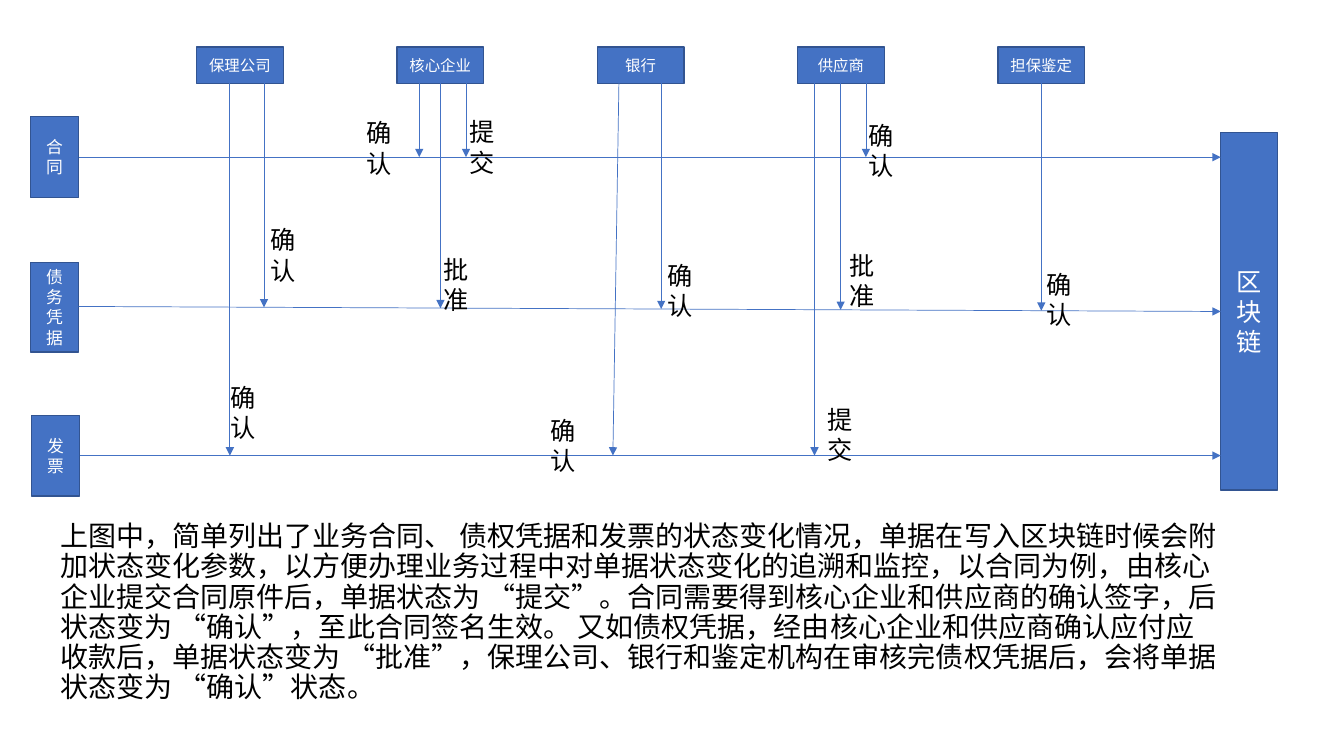
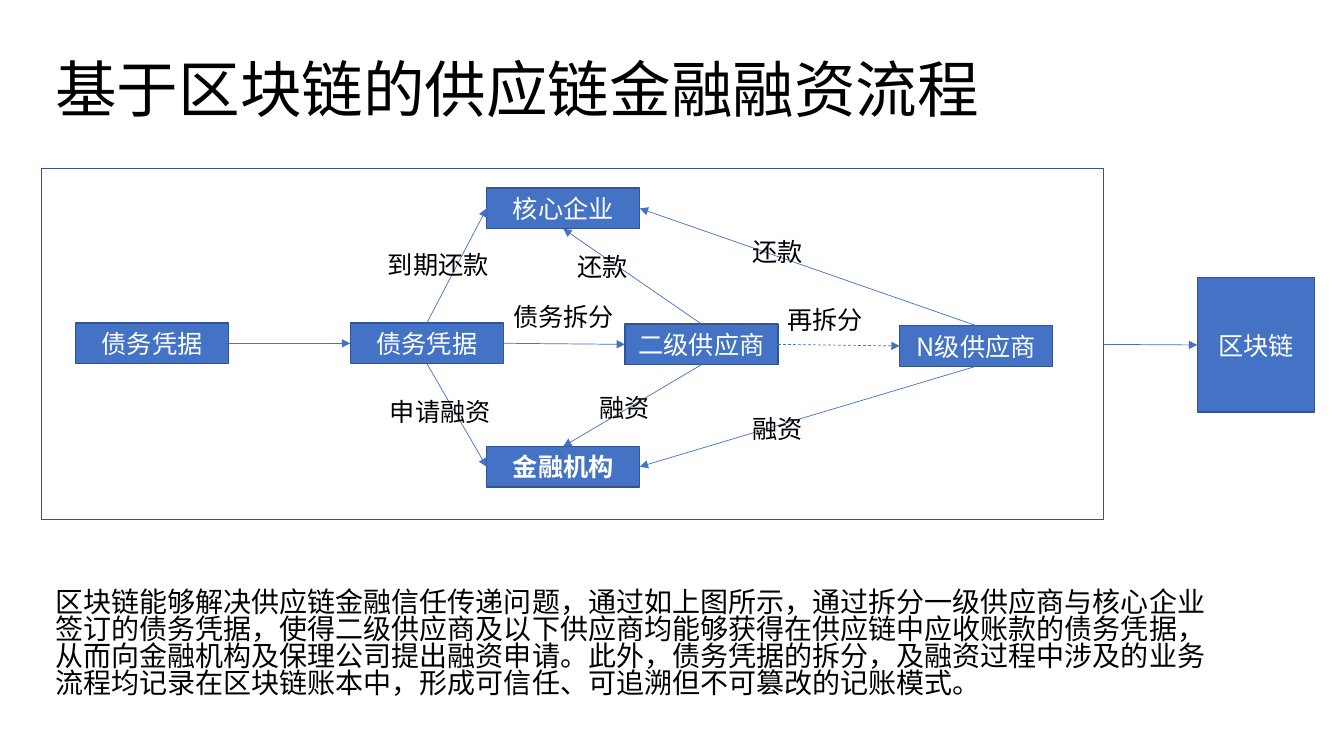
"""Build two slides on supply-chain finance recorded on a blockchain."""
from lxml.etree import SubElement
from pptx import Presentation
from pptx.dml.color import RGBColor
from pptx.enum.dml import MSO_LINE
from pptx.enum.shapes import MSO_CONNECTOR, MSO_SHAPE
from pptx.enum.text import MSO_ANCHOR, PP_ALIGN
from pptx.oxml.ns import qn
from pptx.util import Pt

COLORS = {"fill": "4472C4", "border": "325491", "light": "FFFFFF", "dark": "000000"}
FONT = "Noto Sans CJK SC"
LINE_FACTOR = 1.2

PARTIES = ["保理公司", "核心企业", "银行", "供应商", "担保鉴定"]
DOCUMENTS = [
    ("合同", 21.6, 83.4, 57.6, 112.3, 112.3),
    ("债务凭据", 21.6, 187.3, 64.2, 218.9, 222.5),
    ("发票", 22.3, 296.8, 57.6, 325.4, 325.4),
]
DOCUMENT_WIDTH = 34.6
LEDGER = ("区块链", 872, 94.5, 40.4, 255.6)
STATUS_ARROWS = [
    (164.2, 164.2, 2), (188.6, 188.6, 1),
    (299.5, 299.5, 0), (314.6, 314.6, 1), (332.9, 332.9, 0),
    (442.1, 437.8, 2), (472.3, 472.3, 1),
    (581.8, 581.8, 2), (600.5, 600.5, 1), (618.5, 618.5, 0),
    (743.8, 743.8, 1),
]
STATUS_LABELS = [
    ("批准", 599.8, 175), ("批准", 309.6, 177.8), ("提交", 328.3, 79.9),
    ("确认", 740.2, 188.6), ("确认", 613.4, 82.1), ("确认", 385.9, 293),
    ("确认", 254.9, 80.6), ("确认", 469.4, 182.2), ("确认", 185.8, 157),
    ("提交", 583.9, 285.1), ("确认", 157.7, 269.3),
]
STATUS_TEXT = (
    "上图中，简单列出了业务合同、 债权凭据和发票的状态变化情况，单据在写入区块链时候会附加状态变化参数，"
    "以方便办理业务过程中对单据状态变化的追溯和监控，以合同为例，由核心企业提交合同原件后，"
    "单据状态为 “提交”。合同需要得到核心企业和供应商的确认签字，后状态变为 “确认”，"
    "至此合同签名生效。 又如债权凭据，经由核心企业和供应商确认应付应收款后，单据状态变为 “批准”，"
    "保理公司、银行和鉴定机构在审核完债权凭据后，会将单据状态变为 “确认”状态。"
)

FINANCING_TITLE = "基于区块链的供应链金融融资流程"
NODE_SIZE = (109.4, 29)
NODES = {
    "core": ("核心企业", 347.6, 134.4),
    "debt": ("债务凭据", 250.2, 230.7),
    "second": ("二级供应商", 446.4, 231.5),
    "last": ("N级供应商", 642.6, 232.6),
    "finance": ("金融机构", 347.6, 318.9),
    "source": ("债务凭据", 54, 230.7),
}
FLOWS = [
    ("source", "right", "debt", "left"), ("debt", "top", "core", "left"),
    ("second", "top", "core", "bottom"), ("last", "top", "core", "right"),
    ("debt", "bottom", "finance", "left"), ("second", "bottom", "finance", "top"),
    ("last", "bottom", "finance", "right"), ("debt", "right", "second", "left"),
    ("second", "right", "last", "left"),
]
DASHED_FLOW = ("second", "right", "last", "left")
FLOW_LABELS = [
    ("申请融资", 271.4, 279.4), ("融资", 421.2, 276.8), ("融资", 530.6, 291.9),
    ("债务拆分", 359.5, 212), ("再拆分", 555.2, 213.9), ("到期还款", 270, 174.7),
    ("还款", 405.4, 175.7), ("还款", 530.6, 165.3),
]
FRAME = (29.5, 120.2, 758.9, 250.9)
FINANCING_LEDGER = ("区块链", 855.2, 198.4, 83.8, 96)
FINANCING_TEXT = (
    "区块链能够解决供应链金融信任传递问题，通过如上图所示，通过拆分一级供应商与核心企业签订的债务凭据，"
    "使得二级供应商及以下供应商均能够获得在供应链中应收账款的债务凭据， "
    "从而向金融机构及保理公司提出融资申请。此外，债务凭据的拆分，及融资过程中涉及的业务流程"
    "均记录在区块链账本中，形成可信任、可追溯但不可篡改的记账模式。"
)


def set_values(target, values):
    """Set each named attribute on the target."""
    for name, value in values.items():
        setattr(target, name, value)


def color(name):
    """Return a named colour."""
    return RGBColor.from_string(COLORS[name])


def write(shape, text, size, ink, spacing=None, align=PP_ALIGN.LEFT,
          anchor=MSO_ANCHOR.TOP, wrap=True, bold=False):
    """Fill a shape with one formatted paragraph."""
    set_values(shape.text_frame, {"word_wrap": wrap, "vertical_anchor": anchor})
    paragraph = shape.text_frame.paragraphs[0]
    set_values(paragraph, {"alignment": align,
                           "line_spacing": spacing or Pt(size * LINE_FACTOR)})
    run = paragraph.add_run()
    run.text = text
    set_values(run.font, {"name": FONT, "size": Pt(size), "bold": bold})
    run.font.color.rgb = color(ink)
    SubElement(run.font._element, qn("a:ea")).set("typeface", FONT)


def add_box(slide, bounds, text="", size=18, bold=False):
    """Add a filled box with text, or an open frame without text."""
    shape = slide.shapes.add_shape(MSO_SHAPE.RECTANGLE, *map(Pt, bounds))
    shape.shadow.inherit = False
    shape.line.color.rgb = color("border")
    shape.line.width = Pt(1)
    if not text:
        shape.fill.background()
        return
    shape.fill.solid()
    shape.fill.fore_color.rgb = color("fill")
    write(shape, text, size, "light", align=PP_ALIGN.CENTER,
          anchor=MSO_ANCHOR.MIDDLE, bold=bold)


def add_text(slide, bounds, text, size=18, **options):
    """Add dark text in a plain text box."""
    write(slide.shapes.add_textbox(*map(Pt, bounds)), text, size, "dark", **options)


def add_arrow(slide, start, end, dashed=False):
    """Add a thin arrow between two points."""
    connector = slide.shapes.add_connector(
        MSO_CONNECTOR.STRAIGHT, *map(Pt, (*start, *end)))
    connector.line.color.rgb = color("fill")
    connector.line.width = Pt(0.5)
    if dashed:
        connector.line.dash_style = MSO_LINE.DASH
    properties = connector._element.spPr
    SubElement(properties.find(qn("a:ln")), qn("a:tailEnd")).set("type", "triangle")
    SubElement(properties, qn("a:effectLst"))


def port(key, side):
    """Return the middle of one side of a node."""
    _, left, top = NODES[key]
    width, height = NODE_SIZE
    across, down = {"left": (0, 0.5), "right": (1, 0.5),
                    "top": (0.5, 0), "bottom": (0.5, 1)}[side]
    return left + across * width, top + down * height


def build_status_slide(slide):
    """Draw the parties, the documents and their status changes."""
    for index, party in enumerate(PARTIES):
        add_box(slide, (140.4 + 143.1 * index, 33.6, 62, 26), party, 11)
    ledger, *ledger_bounds = LEDGER
    ledger_left = ledger_bounds[0]
    add_box(slide, ledger_bounds, ledger)
    for document, left, top, height, start, end in DOCUMENTS:
        add_box(slide, (left, top, DOCUMENT_WIDTH, height), document, 12)
        add_arrow(slide, (left + DOCUMENT_WIDTH, start), (ledger_left, end))
    for start_x, end_x, row in STATUS_ARROWS:
        _, left, _, _, start, end = DOCUMENTS[row]
        share = (end_x - left) / (ledger_left - left)
        add_arrow(slide, (start_x, 59.3), (end_x, start + share * (end - start)))
    for label, left, top in STATUS_LABELS:
        add_text(slide, (left, top, 34.6, 50.4), label)
    add_text(slide, (36, 369.4, 843.1, 139.7), STATUS_TEXT, 20,
             spacing=Pt(20 * LINE_FACTOR * 0.9))


def build_financing_slide(slide):
    """Draw the financing flow and its explanation."""
    add_text(slide, (32.4, 28.8, 861.8, 74.9), FINANCING_TITLE, 44,
             spacing=0.9, anchor=MSO_ANCHOR.MIDDLE)
    add_text(slide, (32.4, 419, 843.8, 105.8), FINANCING_TEXT, 20,
             spacing=Pt(20 * LINE_FACTOR * 0.8))
    add_box(slide, FRAME)
    for key, (label, left, top) in NODES.items():
        add_box(slide, (left, top, *NODE_SIZE), label, bold=key == "finance")
    for flow in FLOWS:
        source, source_side, target, target_side = flow
        add_arrow(slide, port(source, source_side), port(target, target_side),
                  flow == DASHED_FLOW)
    for label, left, top in FLOW_LABELS:
        add_text(slide, (left, top, 14.4 + 18 * len(label), 29), label, wrap=False)
    ledger, *ledger_bounds = FINANCING_LEDGER
    add_box(slide, ledger_bounds, ledger)
    left, _, width, _ = FRAME
    add_arrow(slide, (left + width, 246), (ledger_bounds[0], 246.4))


presentation = Presentation()
set_values(presentation, {"slide_width": Pt(960), "slide_height": Pt(540)})
for build in (build_status_slide, build_financing_slide):
    build(presentation.slides.add_slide(presentation.slide_layouts[6]))
presentation.save("out.pptx")
